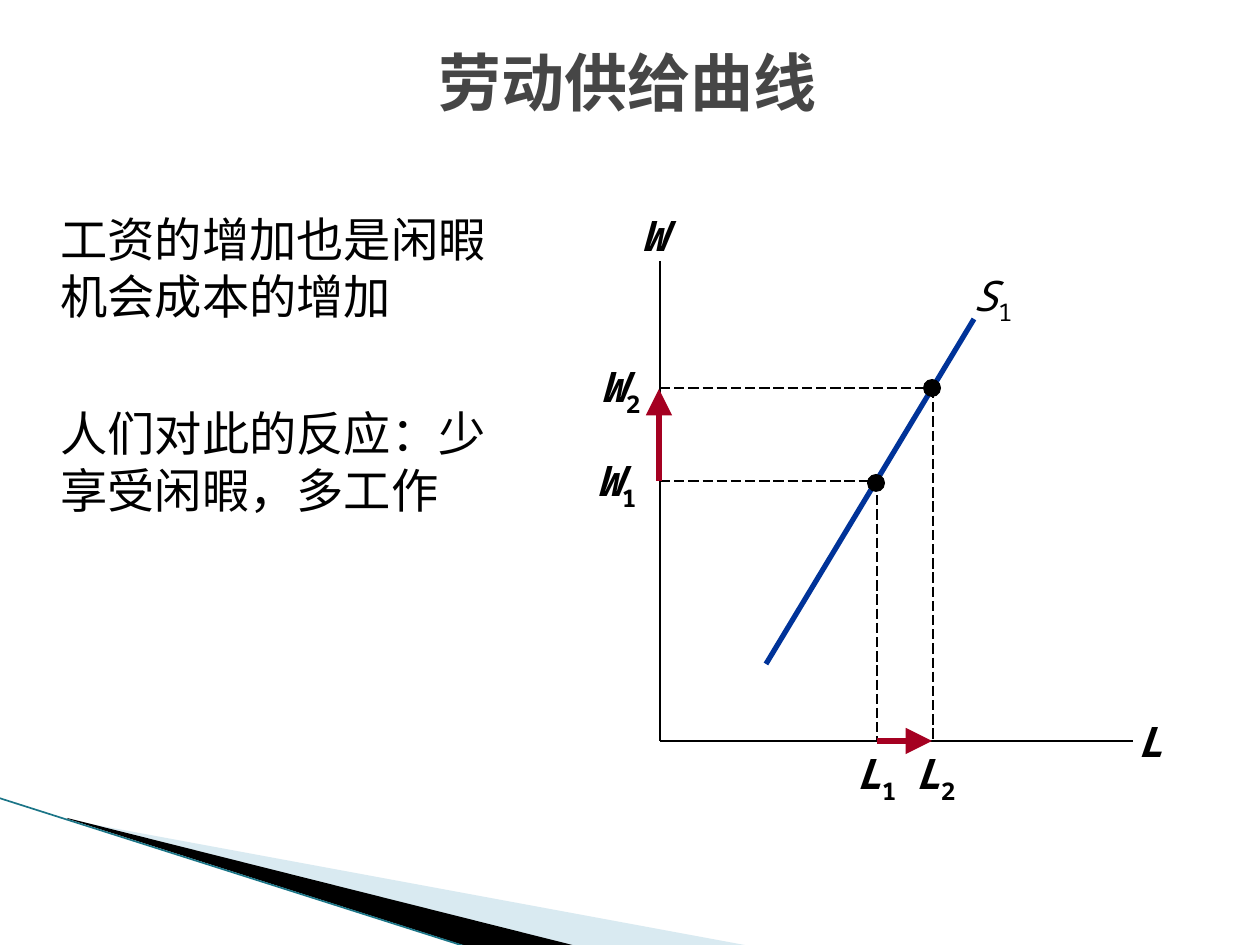
from dataclasses import dataclass

from lxml.etree import SubElement
from pptx import Presentation
from pptx.dml.color import RGBColor
from pptx.enum.dml import MSO_LINE
from pptx.enum.shapes import MSO_CONNECTOR, MSO_SHAPE
from pptx.enum.text import MSO_ANCHOR, PP_ALIGN
from pptx.oxml.ns import qn
from pptx.util import Emu, Pt

PX = 914400 / 126


@dataclass(frozen=True)
class Theme:
    font: str = "Noto Sans Mono"
    title: str = "464646"
    ink: str = "000000"
    supply: str = "003399"
    change: str = "A50021"
    wedge: str = "A0CBDC"
    edge: str = "1B7587"
    title_size: int = 36
    body_size: int = 27
    label_size: int = 24
    paragraph_gap: int = 46


THEME = Theme()


@dataclass(frozen=True)
class Box:
    left: int
    top: int
    width: int
    height: int

    def emu(self) -> list[Emu]:
        return [px(value) for value in (self.left, self.top, self.width, self.height)]


@dataclass(frozen=True)
class Line:
    start: tuple[int, int]
    end: tuple[int, int]
    color: str = THEME.ink
    width: float = 1
    dashed: bool = False
    arrow: bool = False


@dataclass(frozen=True)
class Label:
    box: Box
    letter: str
    subscript: str = ""
    bold: bool = True
    padded: bool = False


@dataclass(frozen=True)
class Equilibrium:
    """A point on the supply curve, with its guides and axis labels."""
    index: str
    corner: tuple[int, int]
    dot: Box
    wage_label: Box
    labor_label: Box


AXIS_X, AXIS_Y = 660, 741
AXES = [Line((AXIS_X, 261), (AXIS_X, AXIS_Y)), Line((AXIS_X, AXIS_Y), (1133, AXIS_Y))]
AXIS_LABELS = [
    Label(Box(625, 203, 58, 63), "W", padded=True),
    Label(Box(1119, 709, 63, 63), "L", padded=True),
]
SUPPLY = Line((766, 664), (974, 319), THEME.supply, 3)
SUPPLY_LABEL = Label(Box(953, 263, 79, 63), "S", "1", bold=False, padded=True)
FIRST = Equilibrium("1", (877, 481), Box(867, 474, 18, 18),
                    Box(583, 455, 67, 50), Box(843, 748, 67, 50))
SECOND = Equilibrium("2", (933, 388), Box(923, 379, 18, 18),
                     Box(587, 361, 67, 50), Box(902, 748, 67, 50))
CHANGES = [
    Line((877, AXIS_Y), (932, AXIS_Y), THEME.change, 3, arrow=True),
    Line((659, 481), (659, 389), THEME.change, 3, arrow=True),
]
BODY = ["工资的增加也是闲暇机会成本的增加", "人们对此的反应：少享受闲暇，多工作"]


def px(value: int) -> Emu:
    return Emu(round(value * PX))


def add_run(paragraph, text: str, size: int, color: str = THEME.ink,
            bold: bool = False, italic: bool = False):
    run = paragraph.add_run()
    run.text = text
    font = run.font
    font.name, font.size = THEME.font, Pt(size)
    font.bold, font.italic = bold, italic
    font.color.rgb = RGBColor.from_string(color)
    SubElement(font._element, qn("a:ea")).set("typeface", THEME.font)
    return run


def add_wedge(slide, points: list[tuple[int, int]], color: str, opacity: int = 100) -> None:
    builder = slide.shapes.build_freeform(*points[0], scale=PX)
    builder.add_line_segments(points[1:], close=True)
    shape = builder.convert_to_shape()
    shape.shadow.inherit = False
    shape.fill.solid()
    shape.fill.fore_color.rgb = RGBColor.from_string(color)
    shape.line.fill.background()
    if opacity < 100:
        color_element = shape._element.spPr.find(f"{qn('a:solidFill')}/{qn('a:srgbClr')}")
        SubElement(color_element, qn("a:alpha")).set("val", str(opacity * 1000))


def add_line(slide, line: Line) -> None:
    connector = slide.shapes.add_connector(
        MSO_CONNECTOR.STRAIGHT, *[px(value) for value in line.start + line.end])
    connector.line.color.rgb = RGBColor.from_string(line.color)
    connector.line.width = Pt(line.width)
    if line.dashed:
        connector.line.dash_style = MSO_LINE.LONG_DASH
    if line.arrow:
        tail = SubElement(connector.line._get_or_add_ln(), qn("a:tailEnd"))
        for name, value in (("type", "triangle"), ("w", "lg"), ("len", "lg")):
            tail.set(name, value)
    SubElement(connector._element.spPr, qn("a:effectLst"))


def add_label(slide, label: Label) -> None:
    frame = slide.shapes.add_textbox(*label.box.emu()).text_frame
    frame.word_wrap = False
    if not label.padded:
        frame.margin_left = frame.margin_right = frame.margin_top = frame.margin_bottom = 0
    paragraph = frame.paragraphs[0]
    paragraph.alignment = PP_ALIGN.CENTER
    add_run(paragraph, label.letter, THEME.label_size, bold=label.bold, italic=True)
    if label.subscript:
        run = add_run(paragraph, label.subscript, THEME.label_size, bold=label.bold)
        run.font._element.set("baseline", "-25000")


def add_equilibrium(slide, point: Equilibrium) -> None:
    x, y = point.corner
    add_line(slide, Line((AXIS_X, y), (x, y), width=0.75, dashed=True))
    add_line(slide, Line((x, y), (x, AXIS_Y), width=0.75, dashed=True))
    add_label(slide, Label(point.wage_label, "W", point.index))
    dot = slide.shapes.add_shape(MSO_SHAPE.OVAL, *point.dot.emu())
    dot.shadow.inherit = False
    dot.fill.solid()
    dot.fill.fore_color.rgb = RGBColor.from_string(THEME.ink)
    dot.line.fill.background()
    add_label(slide, Label(point.labor_label, "L", point.index))


def add_title(slide) -> None:
    frame = slide.shapes.add_textbox(*Box(48, 35, 1159, 93).emu()).text_frame
    frame.word_wrap = True
    frame.vertical_anchor = MSO_ANCHOR.MIDDLE
    paragraph = frame.paragraphs[0]
    paragraph.alignment = PP_ALIGN.CENTER
    add_run(paragraph, "劳动供给曲线", THEME.title_size, THEME.title, bold=True)


def add_body(slide) -> None:
    frame = slide.shapes.add_textbox(*Box(48, 204, 466, 677).emu()).text_frame
    frame.word_wrap = True
    for index, text in enumerate(BODY):
        paragraph = frame.add_paragraph() if index else frame.paragraphs[0]
        if index:
            paragraph.space_before = Pt(THEME.paragraph_gap)
        add_run(paragraph, text, THEME.body_size)


def main() -> None:
    presentation = Presentation()
    presentation.slide_width, presentation.slide_height = px(1260), px(945)
    slide = presentation.slides.add_slide(presentation.slide_layouts[6])
    add_wedge(slide, [(69, 820), (750, 946), (575, 946), (69, 819)], THEME.wedge, 40)
    add_wedge(slide, [(67, 818), (576, 946), (469, 947), (68, 819)], THEME.ink)
    add_line(slide, Line((-1, 798), (467, 947), THEME.edge, 0.95))
    add_title(slide)
    add_body(slide)
    for line in AXES:
        add_line(slide, line)
    for label in AXIS_LABELS:
        add_label(slide, label)
    add_line(slide, SUPPLY)
    add_label(slide, SUPPLY_LABEL)
    add_equilibrium(slide, FIRST)
    for line in CHANGES:
        add_line(slide, line)
    add_equilibrium(slide, SECOND)
    presentation.save("out.pptx")


if __name__ == "__main__":
    main()
